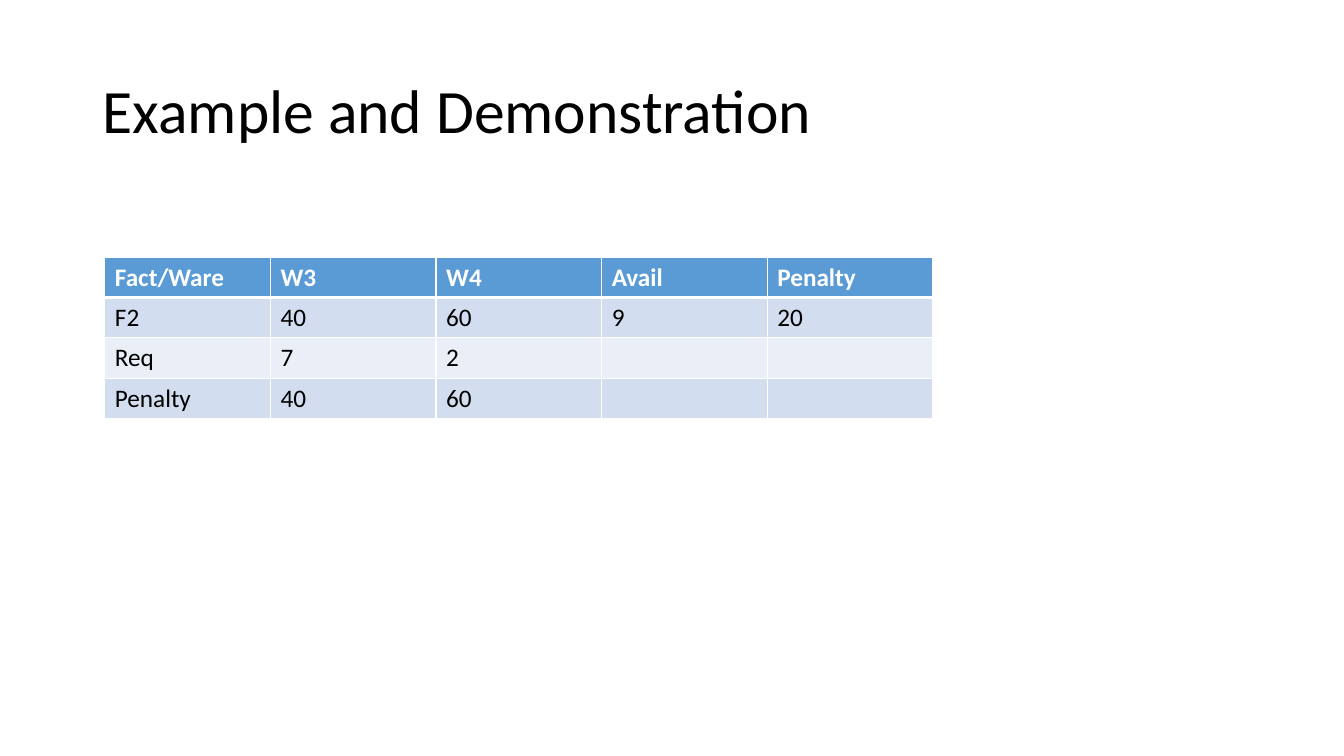
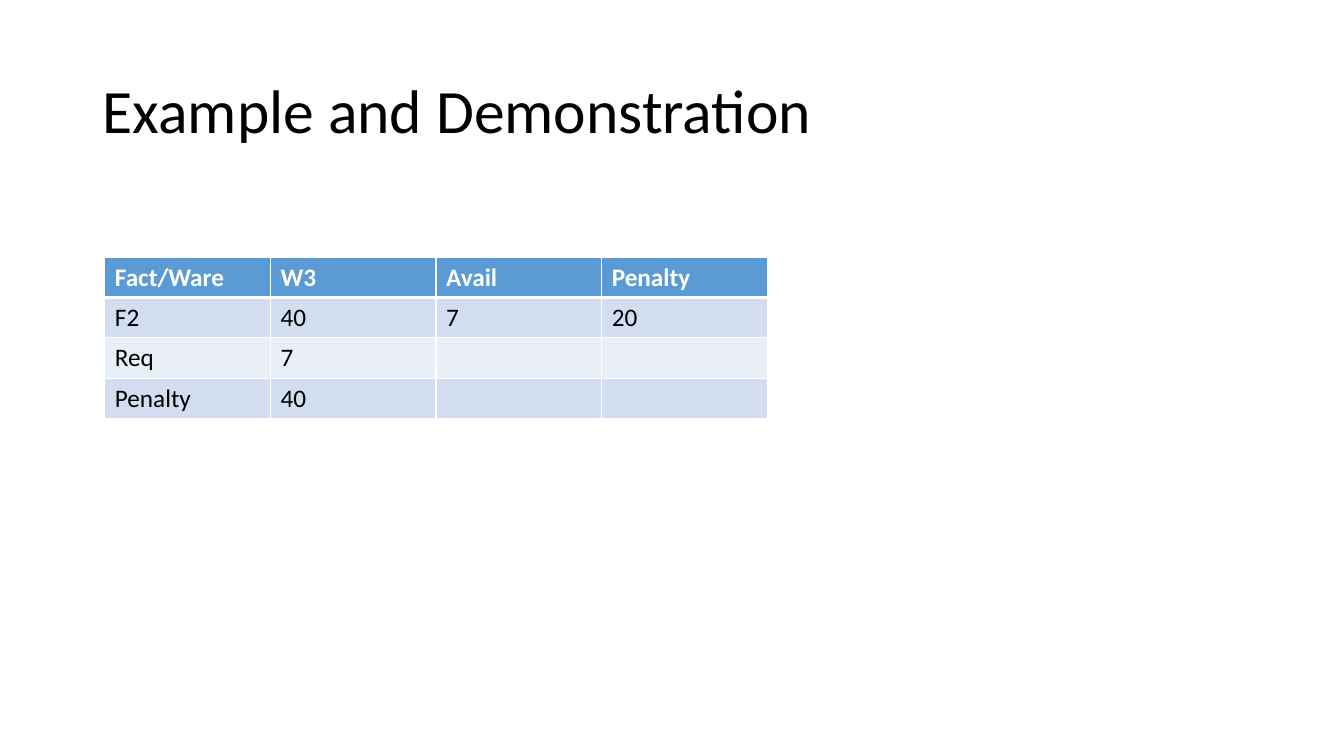
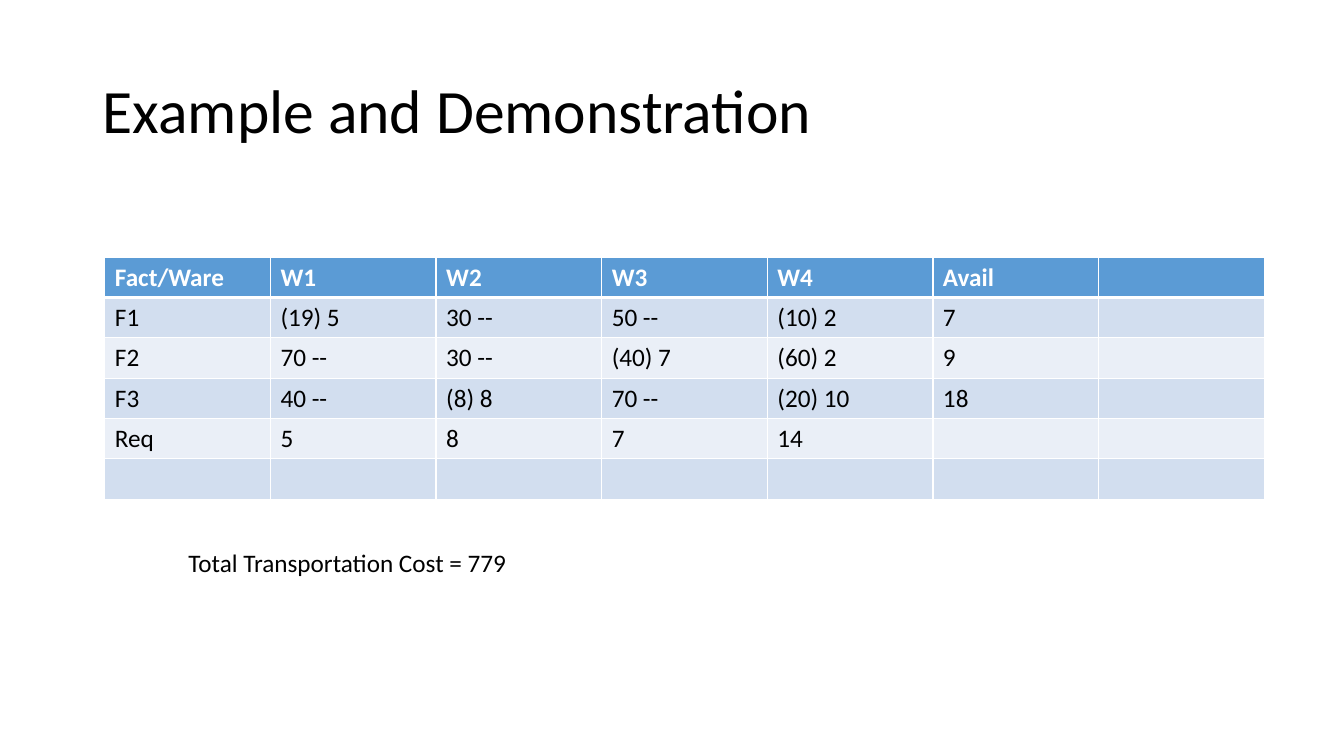
"""Build three transportation-problem slides, each with a title and a cost table."""
from lxml.etree import SubElement
from pptx import Presentation
from pptx.dml.color import RGBColor
from pptx.enum.text import MSO_ANCHOR
from pptx.oxml.ns import qn
from pptx.util import Inches, Pt

BLACK = RGBColor(0x00, 0x00, 0x00)
WHITE = RGBColor(0xFF, 0xFF, 0xFF)
HEADER = RGBColor(0x5B, 0x9B, 0xD5)
BANDS = RGBColor(0xD2, 0xDE, 0xEF), RGBColor(0xEA, 0xEF, 0xF7)
FONT = "Calibri"

TITLE = "Example and Demonstration"
SLIDES = [
    {"costs": [
        ("Fact/Ware", "W3", "W4", "Avail", "Penalty"),
        ("F2", "40", "60", "9", "20"),
        ("Req", "7", "2", "", ""),
        ("Penalty", "40", "60", "", ""),
    ]},
    {"costs": [
        ("Fact/Ware", "W3", "Avail", "Penalty"),
        ("F2", "40", "7", "20"),
        ("Req", "7", "", ""),
        ("Penalty", "40", "", ""),
    ]},
    {"costs": [
        ("Fact/Ware", "W1", "W2", "W3", "W4", "Avail", ""),
        ("F1", "(19) 5", "30 --", "50 --", "(10) 2", "7", ""),
        ("F2", "70 --", "30 --", "(40) 7", "(60) 2", "9", ""),
        ("F3", "40 --", "(8) 8", "70 --", "(20) 10", "18", ""),
        ("Req", "5", "8", "7", "14", "", ""),
        ("", "", "", "", "", "", ""),
    ], "total": "Total Transportation Cost = 779"},
]

SLIDE_SIZE = Inches(13.33), Inches(7.5)
TITLE_AREA = [Inches(n) for n in (0.92, 0.4, 11.5, 1.45)]
TOTAL_AREA = [Inches(n) for n in (1.77, 5.38, 9.27, 0.4)]
TABLE_LEFT, TABLE_TOP = Inches(1.04), Inches(2.55)
COLUMN_WIDTH, ROW_HEIGHT = Inches(11.5) // 7, Inches(0.4)


def write(frame, text, size=18, color=BLACK, bold=False, spacing=1.0):
    """Put one formatted paragraph into a text frame."""
    paragraph = frame.paragraphs[0]
    paragraph.line_spacing = spacing
    if text:
        run = paragraph.add_run()
        run.text = text
        run.font.name, run.font.size = FONT, Pt(size)
        run.font.color.rgb, run.font.bold = color, bold


def add_label(slide, area, text, anchor=MSO_ANCHOR.TOP, **style):
    """Add a wrapping text box."""
    frame = slide.shapes.add_textbox(*area).text_frame
    frame.word_wrap = True
    frame.vertical_anchor = anchor
    write(frame, text, **style)


def set_borders(cell, **widths):
    """Draw white cell borders with widths given in points."""
    properties = cell._tc.get_or_add_tcPr()
    for side in ("L", "R", "T", "B"):
        line = SubElement(properties, qn("a:ln" + side), w=str(Pt(widths.get(side, 1))))
        SubElement(SubElement(line, qn("a:solidFill")), qn("a:srgbClr"), val=str(WHITE))


def add_costs(slide, costs):
    """Add a table with a header row and banded body rows."""
    row_count, column_count = len(costs), len(costs[0])
    table = slide.shapes.add_table(
        row_count, column_count, TABLE_LEFT, TABLE_TOP,
        COLUMN_WIDTH * column_count, ROW_HEIGHT * row_count).table
    for row, entries in enumerate(costs):
        header = row == 0
        for column, entry in enumerate(entries):
            cell = table.cell(row, column)
            set_borders(cell, T=3 if row == 1 else 1, B=3 if header else 1)
            cell.fill.solid()
            cell.fill.fore_color.rgb = HEADER if header else BANDS[(row - 1) % 2]
            write(cell.text_frame, entry, color=WHITE if header else BLACK, bold=header)


def main():
    """Build and save the presentation."""
    deck = Presentation()
    deck.slide_width, deck.slide_height = SLIDE_SIZE
    for content in SLIDES:
        slide = deck.slides.add_slide(deck.slide_layouts[6])
        add_label(slide, TITLE_AREA, TITLE, anchor=MSO_ANCHOR.MIDDLE, size=44, spacing=0.9)
        add_costs(slide, content["costs"])
        if "total" in content:
            add_label(slide, TOTAL_AREA, content["total"])
    deck.save("out.pptx")


if __name__ == "__main__":
    main()
